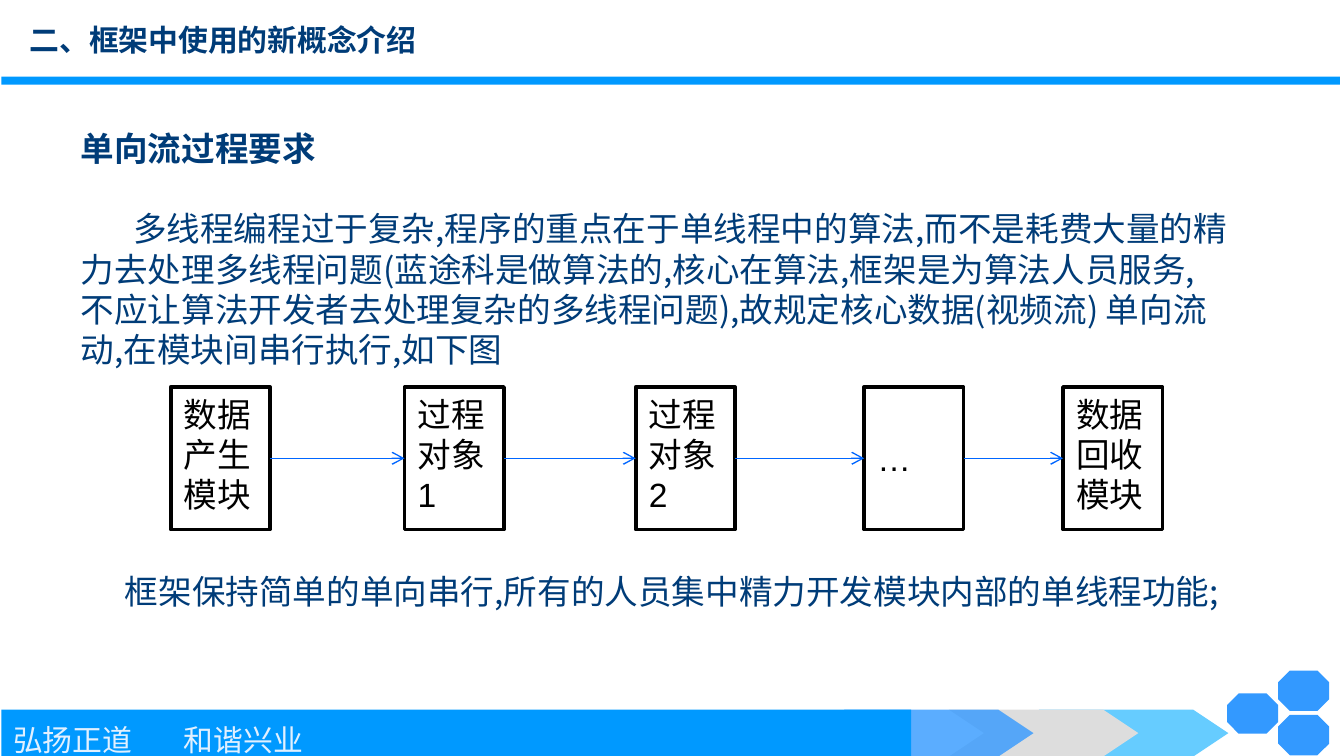
"""Build the slide on the one-way flow of data between framework modules."""
from dataclasses import dataclass
from itertools import pairwise

from lxml import etree
from pptx import Presentation
from pptx.dml.color import RGBColor
from pptx.enum.shapes import MSO_CONNECTOR, MSO_SHAPE
from pptx.enum.text import MSO_ANCHOR, MSO_AUTO_SIZE, PP_ALIGN
from pptx.oxml.ns import qn
from pptx.util import Inches, Pt

RECTANGLE, CHEVRON, OCTAGON = MSO_SHAPE.RECTANGLE, MSO_SHAPE.CHEVRON, MSO_SHAPE.OCTAGON
STRAIGHT = MSO_CONNECTOR.STRAIGHT
TOP, MIDDLE = MSO_ANCHOR.TOP, MSO_ANCHOR.MIDDLE
LEFT, NO_AUTOFIT = PP_ALIGN.LEFT, MSO_AUTO_SIZE.NONE
LEFT_SIDE, RIGHT_SIDE = 1, 3
TITLE_ONLY = 5
GRID_UNIT = Inches(0.1)
COLUMNS, ROWS = 100, 56.25


@dataclass(frozen=True)
class Theme:
    """Hold the colours, fonts and type sizes."""

    text: str = "003C78"
    motto: str = "E1F0FF"
    bar: str = "0099FF"
    accent: str = "3399FF"
    sky: str = "66CCFF"
    grey: str = "DDDDDD"
    arrow: str = "0066FF"
    ink: str = "000000"
    paper: str = "FFFFFF"
    font: str = "Noto Sans CJK SC"
    box_font: str = "Arial"
    small: float = 16
    normal: float = 18
    leading: float = 21.6


THEME = Theme()


def grid(*cells):
    """Turn grid columns and rows into lengths."""
    return [int(cell * GRID_UNIT) for cell in cells]


def style(paragraph, size, colour, font=THEME.font, bold=False):
    """Format a paragraph and align it left."""
    paragraph.alignment = LEFT
    paragraph.font.name = font
    paragraph.font.size = Pt(size)
    paragraph.font.bold = bold
    paragraph.font.color.rgb = RGBColor.from_string(colour)


def add_block(slide, preset, cells, colour, adjustment=None, opacity=None):
    """Add a filled preset shape without outline or shadow."""
    block = slide.shapes.add_shape(preset, *grid(*cells))
    block.shadow.inherit = False
    block.fill.solid()
    block.fill.fore_color.rgb = RGBColor.from_string(colour)
    block.line.fill.background()
    if adjustment is not None:
        block.adjustments[0] = adjustment
    if opacity is not None:
        colour_node = block.fill._xPr.find(".//" + qn("a:srgbClr"))
        etree.SubElement(colour_node, qn("a:alpha"), val=str(opacity * 1000))
    return block


def add_decoration(slide):
    """Add the header rule, footer band, chevrons and octagons."""
    chevrons = [(77.3, THEME.sky, None), (70.6, THEME.grey, None), (62.8, THEME.accent, 80)]
    for column, colour, opacity in chevrons:
        add_block(slide, CHEVRON, (column, 52.8, 14.1, 3.5), colour, 0.75, opacity)
    add_block(slide, RECTANGLE, (0.1, 52.8, 67.7, 3.5), THEME.bar)
    for column, row in [(95.1, 49.9), (91.3, 51.6), (95.1, 53.2)]:
        add_block(slide, OCTAGON, (column, row, 3.8, 3), THEME.accent, 0.29)
    add_block(slide, RECTANGLE, (0.1, 5.7, 99.6, 0.6), THEME.bar)


def add_motto(slide, halves, tab_column):
    """Add the footer motto with its second half at a tab stop."""
    frame = slide.shapes.add_textbox(*grid(0, 53.2, 34.5, 3.7)).text_frame
    frame.word_wrap = True
    motto = frame.paragraphs[0]
    motto.text = "\t".join(halves)
    tabs = etree.SubElement(motto._p.get_or_add_pPr(), qn("a:tabLst"))
    etree.SubElement(tabs, qn("a:tab"), pos=str(grid(tab_column)[0]), algn="l")
    style(motto, THEME.small, THEME.motto)


def set_title(slide, wording):
    """Place and format the title placeholder."""
    title = slide.shapes.title
    title.left, title.top, title.width, title.height = grid(1.2, 1.1, 35.3, 7.7)
    frame = title.text_frame
    frame.text = wording
    frame.auto_size = NO_AUTOFIT
    frame.vertical_anchor = TOP
    style(frame.paragraphs[0], THEME.small, THEME.text, bold=True)


def add_body(slide, passages):
    """Add passages of wording, lines of space before, indent and weight."""
    frame = slide.shapes.add_textbox(*grid(5.3, 9.1, 86.8, 43.2)).text_frame
    frame.word_wrap = True
    frame.margin_left = frame.margin_right = Inches(0.07)
    frame.margin_top = frame.margin_bottom = Inches(0.04)
    for number, (wording, lines_before, indent, bold) in enumerate(passages):
        passage = frame.add_paragraph() if number else frame.paragraphs[0]
        passage.text = wording
        passage.line_spacing = Pt(THEME.leading)
        passage.space_before = Pt(lines_before * THEME.leading)
        properties = passage._p.get_or_add_pPr()
        properties.set("indent", str(grid(indent)[0]))
        properties.set("hangingPunct", "0")
        style(passage, THEME.normal, THEME.text, bold=bold)


def add_module(slide, column, wording, anchor):
    """Add one outlined module of the flow."""
    module = add_block(slide, RECTANGLE, (column, 28.8, 7.4, 10.6), THEME.paper)
    module.line.color.rgb = RGBColor.from_string(THEME.ink)
    module.line.width = Pt(2)
    frame = module.text_frame
    frame.word_wrap = True
    frame.vertical_anchor = anchor
    frame.text = wording
    style(frame.paragraphs[0], THEME.normal, THEME.ink, THEME.box_font)
    return module


def add_flow_arrow(slide, source, target):
    """Join two modules with an arrow."""
    arrow = slide.shapes.add_connector(STRAIGHT, 0, 0, 0, 0)
    arrow.begin_connect(source, RIGHT_SIDE)
    arrow.end_connect(target, LEFT_SIDE)
    arrow.line.color.rgb = RGBColor.from_string(THEME.arrow)
    arrow.line.width = Pt(0.75)
    etree.SubElement(arrow.line._get_or_add_ln(), qn("a:tailEnd"), type="arrow")
    etree.SubElement(arrow._element.spPr, qn("a:effectLst"))


def main():
    """Build and save the slide."""
    deck = Presentation()
    deck.slide_width, deck.slide_height = grid(COLUMNS, ROWS)
    slide = deck.slides.add_slide(deck.slide_layouts[TITLE_ONLY])
    add_decoration(slide)
    add_motto(slide, ("弘扬正道", "和谐兴业"), 12.7)
    set_title(slide, "二、框架中使用的新概念介绍")
    add_body(slide, [
        ("单向流过程要求", 0, 0, True),
        ("多线程编程过于复杂,程序的重点在于单线程中的算法,而不是耗费大量的精力去处理多线程问题"
         "(蓝途科是做算法的,核心在算法,框架是为算法人员服务,不应让算法开发者去处理复杂的多线程问题),"
         "故规定核心数据(视频流) 单向流动,在模块间串行执行,如下图", 1, 3.9, False),
        ("框架保持简单的单向串行,所有的人员集中精力开发模块内部的单线程功能;", 5, 3.3, False),
    ])
    steps = [
        (12.7, "数据产生模块", TOP),
        (30.1, "过程对象1", TOP),
        (47.3, "过程对象2", TOP),
        (64.3, "…", MIDDLE),
        (79.1, "数据回收模块", TOP),
    ]
    modules = [add_module(slide, *step) for step in steps]
    for source, target in pairwise(modules):
        add_flow_arrow(slide, source, target)
    deck.save("out.pptx")


if __name__ == "__main__":
    main()
